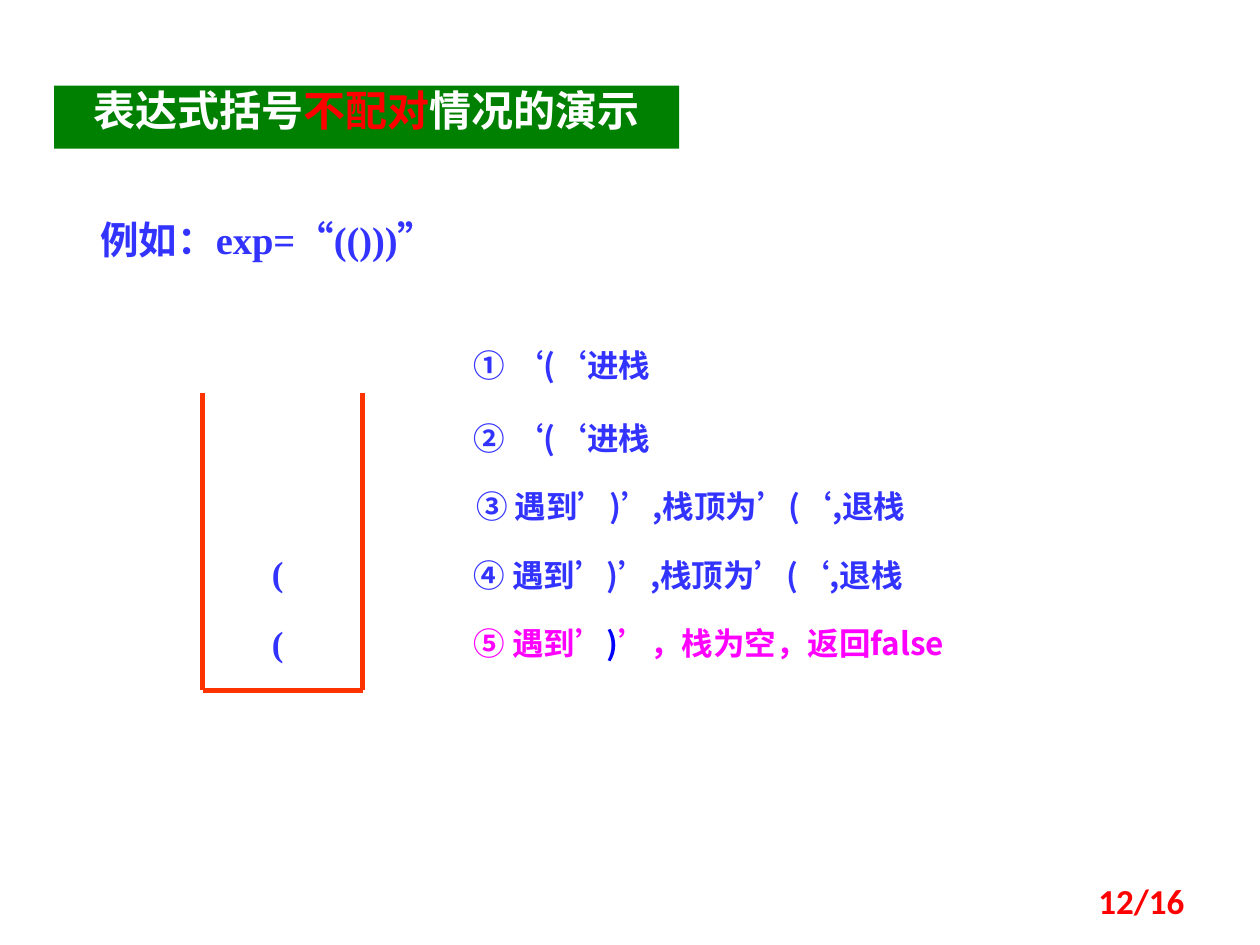
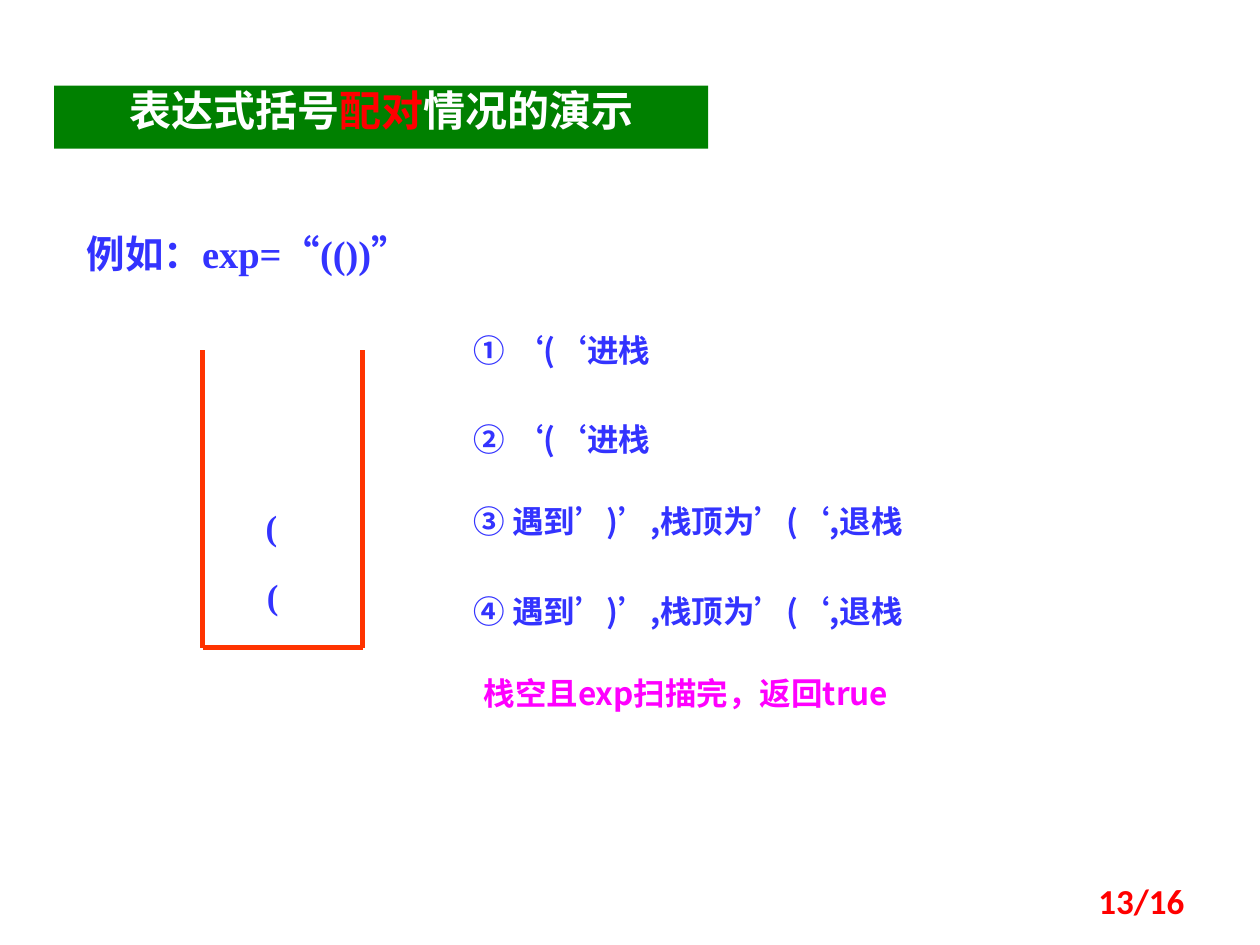
from lxml.etree import SubElement
from pptx import Presentation
from pptx.dml.color import RGBColor
from pptx.enum.shapes import MSO_CONNECTOR as Connector, MSO_SHAPE as Shape
from pptx.enum.text import MSO_ANCHOR as Anchor, PP_ALIGN as Align
from pptx.oxml.ns import qn
from pptx.util import Inches, Pt

deck = Presentation()
deck.slide_width, deck.slide_height = Inches(10), Inches(7.5)
unit = deck.slide_width / 100

BLUE, PINK, RED, GREEN, WHITE = "3333FF", "FF00FF", "FF0000", "008000", "FFFFFF"
DEEP_BLUE, ORANGE = "0000FF", "FF3300"
SANS, SERIF, NUMBER = "Noto Sans CJK SC", "Times New Roman", "Calibri"
PUSH = "‘(‘进栈"
POP = "遇到’)’,栈顶为’(‘,退栈".replace(",", ",")
STACK_LEFT, STACK_RIGHT, STACK_HEIGHT = 16.1, 28.8, 23.6


def color(value):
    return RGBColor.from_string(value)


def write(page, area, spans, size, name=SANS, align=Align.LEFT, anchor=Anchor.TOP, spacing=0.86, fill=None):
    left, top, width, height = [round(length * unit) for length in area]
    if fill:
        box = page.shapes.add_shape(Shape.RECTANGLE, left, top, width, height)
        box.shadow.inherit = False
        box.fill.solid()
        box.fill.fore_color.rgb = color(fill)
        box.line.fill.background()
    else:
        box = page.shapes.add_textbox(left, top, width, height)
    frame = box.text_frame
    frame.word_wrap = True
    frame.vertical_anchor = anchor
    para = frame.paragraphs[0]
    para.alignment = align
    para.line_spacing = spacing
    para.font.size, para.font.bold, para.font.name = Pt(size), True, name
    SubElement(para._p.pPr.find(qn("a:defRPr")), qn("a:ea")).set("typeface", SANS)
    for text, ink in spans:
        span = para.add_run()
        span.text = text
        span.font.color.rgb = color(ink)


pages = [
    dict(
        number="12/16", verdict="不配对", title_width=49.6,
        example="例如：exp=“(()))”", example_area=(7, 17.2, 37, 4.7),
        stack_top=31.2, brackets=[(18.5, 43.3), (18.5, 48.8)],
        steps=[
            (36.6, 27.4, 18.1, [("① " + PUSH, BLUE)]),
            (36.6, 33.2, 23.6, [("② " + PUSH, BLUE)]),
            (36.8, 38.6, 46.5, [("③ " + POP, BLUE)]),
            (36.6, 44.1, 46.5, [("④ " + POP, BLUE)]),
            (36.6, 49.5, 43.8, [("⑤ 遇到’", PINK), (")", DEEP_BLUE), ("’，栈为空，返回false", PINK)]),
        ],
    ),
    dict(
        number="13/16", verdict="配对", title_width=51.9,
        example="例如：exp=“(())”", example_area=(5.9, 18.3, 33.9, 4.7),
        stack_top=27.8, brackets=[(18, 39.6), (18.1, 45.1)],
        steps=[
            (36.6, 26.2, 18.9, [("① " + PUSH, BLUE)]),
            (36.6, 33.3, 17.3, [("② " + PUSH, BLUE)]),
            (36.6, 39.8, 46.5, [("③ " + POP, BLUE)]),
            (36.6, 46.9, 46.5, [("④ " + POP, BLUE)]),
            (37.4, 53.4, 53.6, [("栈空且exp扫描完，返回true", PINK)]),
        ],
    ),
]

for content in pages:
    page = deck.slides.add_slide(deck.slide_layouts[6])

    top = content["stack_top"]
    bottom = top + STACK_HEIGHT
    for ends in [
        (STACK_LEFT, top, STACK_LEFT, bottom),
        (STACK_LEFT, bottom, STACK_RIGHT, bottom),
        (STACK_RIGHT, top, STACK_RIGHT, bottom),
    ]:
        wall = page.shapes.add_connector(Connector.STRAIGHT, *[round(end * unit) for end in ends])
        wall.line.color.rgb = color(ORANGE)
        wall.line.width = Pt(3)
        SubElement(wall._element.spPr, qn("a:effectLst"))

    title = [("表达式括号", WHITE), (content["verdict"], RED), ("情况的演示", WHITE)]
    write(page, (4.3, 6.8, content["title_width"], 5), title, 24, align=Align.CENTER, fill=GREEN)
    write(page, content["example_area"], [(content["example"], BLUE)], 22, SERIF)
    for left, row in content["brackets"]:
        write(page, (left, row, 7.1, 4.4), [("(", BLUE)], 20, SERIF, Align.CENTER, spacing=1)
    for left, row, width, spans in content["steps"]:
        write(page, (left, row, width, 4), spans, 18)
    write(page, (71.7, 69.5, 23.3, 4), [(content["number"], RED)], 20, NUMBER, Align.RIGHT, Anchor.MIDDLE, 1)

deck.save("out.pptx")
